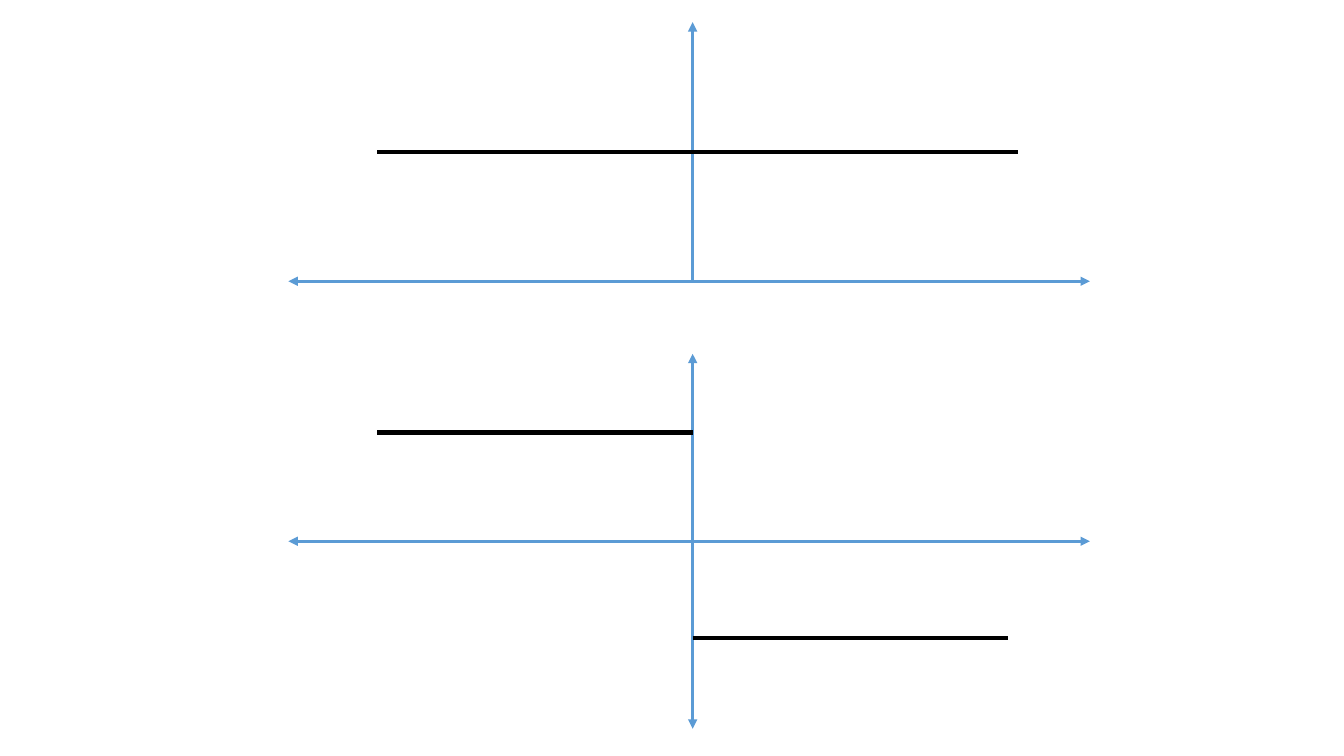
from lxml import etree
from pptx import Presentation
from pptx import util as u
from pptx.dml.color import RGBColor
from pptx.enum import shapes
from pptx.oxml import ns

# Scale: 100 px to the inch
EMU_PER_PX = 9144
SLIDE_WIDTH, SLIDE_HEIGHT = 1333, 750

AXIS_COLOUR = "5B9BD5"
GRAPH_COLOUR = "000000"
AXIS_LEFT, AXIS_RIGHT, ORIGIN_X = 286, 1081, 687
GRAPH_LEFT = 374


def px(length):
    return u.Emu(length * EMU_PER_PX)


def colour(hex_string):
    return RGBColor.from_string(hex_string)


def add_line(slide, start, end, line_colour, width, arrows=()):
    """Draw a straight line; arrows lists the ends that carry a triangle."""
    line = slide.shapes.add_connector(
        shapes.MSO_CONNECTOR.STRAIGHT, *map(px, start + end))
    line.line.color.rgb = colour(line_colour)
    line.line.width = u.Pt(width)
    outline = line.line._get_or_add_ln()
    for arrow in arrows:
        etree.SubElement(outline, ns.qn(f"a:{arrow}"), type="triangle")
    etree.SubElement(line._element.spPr, ns.qn("a:effectLst"))


def add_horizontal_axis(slide, y):
    add_line(slide, (AXIS_LEFT, y), (AXIS_RIGHT, y), AXIS_COLOUR, 2.25,
             ("headEnd", "tailEnd"))


def add_vertical_axis(slide, origin_y, tip_y):
    add_line(slide, (ORIGIN_X, origin_y), (ORIGIN_X, tip_y), AXIS_COLOUR,
             2.25, ("tailEnd",))


def add_graph_segment(slide, left, right, y):
    add_line(slide, (left, y), (right, y), GRAPH_COLOUR, 3)


def main():
    presentation = Presentation()
    presentation.slide_width = px(SLIDE_WIDTH)
    presentation.slide_height = px(SLIDE_HEIGHT)
    slide = presentation.slides.add_slide(presentation.slide_layouts[6])

    # Upper graph: constant function
    add_horizontal_axis(slide, 279)
    add_vertical_axis(slide, 279, 22)
    add_graph_segment(slide, GRAPH_LEFT, 1010, 151)

    # Lower graph: step function
    step_origin_y, half_axis = 537, 186
    add_horizontal_axis(slide, step_origin_y)
    for direction in (-1, 1):
        add_vertical_axis(slide, step_origin_y,
                          step_origin_y + direction * half_axis)
    add_graph_segment(slide, GRAPH_LEFT, ORIGIN_X, 429)
    add_graph_segment(slide, ORIGIN_X, 1000, 633)

    presentation.save("out.pptx")


if __name__ == "__main__":
    main()
